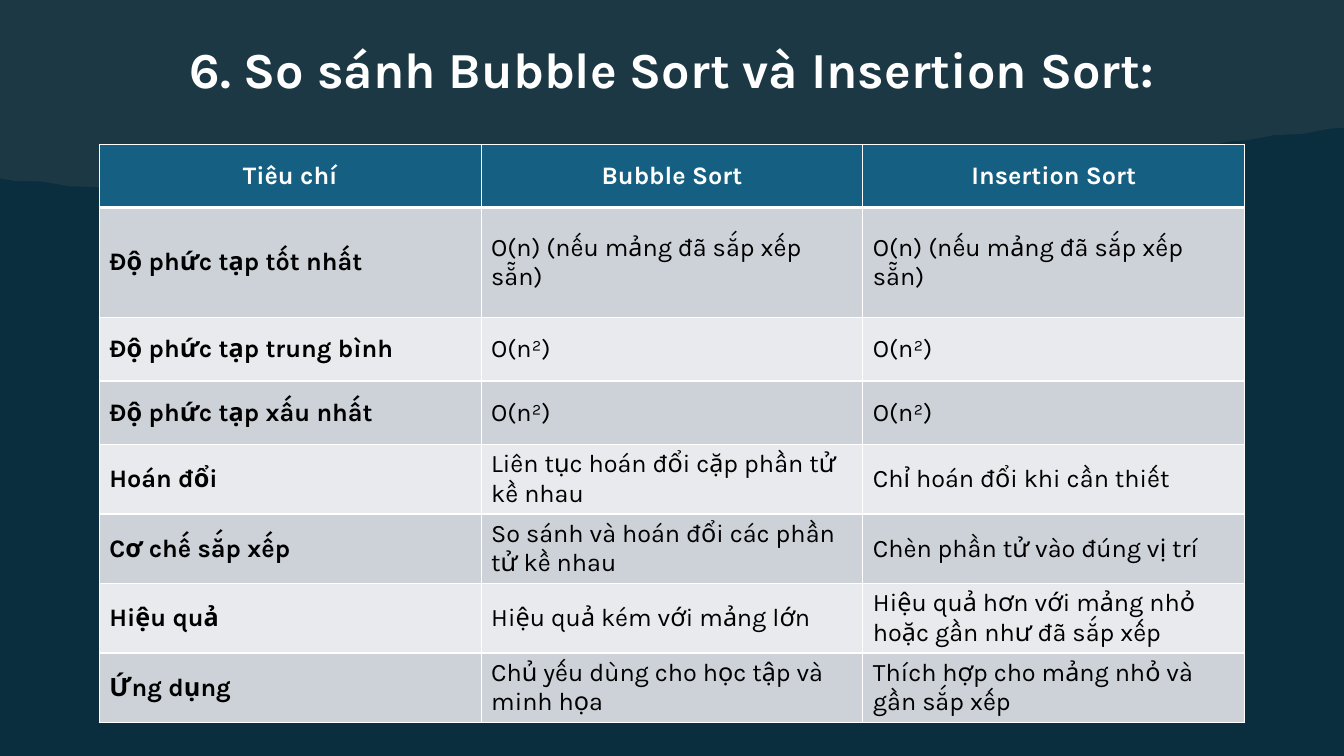
import math
from dataclasses import dataclass

from lxml import etree
from pptx import Presentation
from pptx.dml.color import RGBColor
from pptx.enum.text import MSO_ANCHOR, MSO_AUTO_SIZE, PP_ALIGN
from pptx.oxml.ns import qn
from pptx.util import Inches, Pt

MIDDLE, NO_FIT = MSO_ANCHOR.MIDDLE, MSO_AUTO_SIZE.NONE
LEFT, CENTER = PP_ALIGN.LEFT, PP_ALIGN.CENTER


@dataclass(frozen=True)
class Theme:
    font: str = "Karla"
    title_size: int = 36
    table_size: int = 18
    background: str = "0A2E3E"
    torn_band: str = "82766A"
    torn_band_alpha: int = 15
    header: str = "156082"
    bands: tuple = ("CCD2D8", "E8EAED")
    light: str = "FFFFFF"
    dark: str = "000000"
    border: float = 1
    header_border: float = 3


THEME = Theme()


def write(frame, text, *, size, color, bold=False, align=LEFT):
    frame.text = text
    paragraph = frame.paragraphs[0]
    paragraph.alignment = align
    font = paragraph.runs[0].font
    font.name, font.size, font.bold = THEME.font, Pt(size), bold
    font.color.rgb = RGBColor.from_string(color)


def set_borders(cell, top, bottom):
    """Draw all four sides; top and bottom are widths in points."""
    properties = cell._tc.get_or_add_tcPr()
    widths = {"a:lnL": THEME.border, "a:lnR": THEME.border, "a:lnT": top, "a:lnB": bottom}
    for position, (side, width) in enumerate(widths.items()):
        line = etree.Element(qn(side), w=str(Pt(width)))
        fill = etree.SubElement(line, qn("a:solidFill"))
        etree.SubElement(fill, qn("a:srgbClr"), val=THEME.light)
        properties.insert(position, line)


prs = Presentation()
prs.slide_width, prs.slide_height = Inches(13.33), Inches(7.5)
W, H = prs.slide_width, prs.slide_height
slide = prs.slides.add_slide(prs.slide_layouts[5])
slide.background.fill.solid()
slide.background.fill.fore_color.rgb = RGBColor.from_string(THEME.background)

# Torn band: depths (inches) at equal stations across the slide,
# joined by straight slopes and roughened by a small ripple.
depths = [1.77, 1.88, 2.08, 2.06, 2.12, 2.22, 2.27, 2.14, 2.08, 1.98, 1.70, 1.40, 1.27]
STEPS_PER_SLOPE = 8
RIPPLE = 0.01
last_step = (len(depths) - 1) * STEPS_PER_SLOPE
torn_edge = []
for step in range(last_step + 1):
    station, step_in_slope = divmod(step, STEPS_PER_SLOPE)
    start, end = depths[station], depths[min(station + 1, len(depths) - 1)]
    depth = start + (end - start) * step_in_slope / STEPS_PER_SLOPE
    depth += RIPPLE * math.sin(math.pi * step_in_slope / 2)
    torn_edge.append((W * step // last_step, Inches(depth)))

builder = slide.shapes.build_freeform(0, 0)
builder.add_line_segments([*torn_edge, (W, 0)], close=True)
band = builder.convert_to_shape()
band.shadow.inherit = False
band.line.fill.background()
band.fill.solid()
band.fill.fore_color.rgb = RGBColor.from_string(THEME.torn_band)
band_color = band._element.spPr.find(qn("a:solidFill")).find(qn("a:srgbClr"))
etree.SubElement(band_color, qn("a:alpha"), val=str(THEME.torn_band_alpha * 1000))

heading = slide.shapes.title
band._element.addnext(heading._element)  # the title stands in front of the band
heading.left, heading.top = int(W * 0.07), int(H * 0.03)
heading.width, heading.height = W - 2 * heading.left, int(H * 0.12)
heading.text_frame.auto_size = NO_FIT
heading.text_frame.vertical_anchor = MIDDLE
write(heading.text_frame, "6. So sánh Bubble Sort và Insertion Sort:",
      size=THEME.title_size, color=THEME.light, bold=True, align=CENTER)

comparison = [
    ("Tiêu chí", "Bubble Sort", "Insertion Sort"),
    ("Độ phức tạp tốt nhất", "O(n) (nếu mảng đã sắp xếp sẵn)", "O(n) (nếu mảng đã sắp xếp sẵn)"),
    ("Độ phức tạp trung bình", "O(n²)", "O(n²)"),
    ("Độ phức tạp xấu nhất", "O(n²)", "O(n²)"),
    ("Hoán đổi", "Liên tục hoán đổi cặp phần tử kề nhau", "Chỉ hoán đổi khi cần thiết"),
    ("Cơ chế sắp xếp", "So sánh và hoán đổi các phần tử kề nhau", "Chèn phần tử vào đúng vị trí"),
    ("Hiệu quả", "Hiệu quả kém với mảng lớn", "Hiệu quả hơn với mảng nhỏ hoặc gần như đã sắp xếp"),
    ("Ứng dụng", "Chủ yếu dùng cho học tập và minh họa", "Thích hợp cho mảng nhỏ và gần sắp xếp"),
]
ONE_LINE, TWO_LINES, BEST_CASE = Inches(0.63), Inches(0.69), Inches(1.09)
row_heights = [ONE_LINE, BEST_CASE] + [ONE_LINE] * 2 + [TWO_LINES] * 4
table_width = Inches(11.36)
grid = slide.shapes.add_table(
    len(comparison), len(comparison[0]),
    (W - table_width) // 2, Inches(1.43), table_width, sum(row_heights)).table

for r, (criterion, height) in enumerate(zip(comparison, row_heights)):
    grid.rows[r].height = height
    is_header = r == 0
    fill_color = THEME.header if is_header else THEME.bands[(r - 1) % 2]
    for c, wording in enumerate(criterion):
        cell = grid.cell(r, c)
        cell.vertical_anchor = MIDDLE
        cell.fill.solid()
        cell.fill.fore_color.rgb = RGBColor.from_string(fill_color)
        set_borders(cell,
                    top=THEME.header_border if r == 1 else THEME.border,
                    bottom=THEME.header_border if is_header else THEME.border)
        write(cell.text_frame, wording, size=THEME.table_size,
              color=THEME.light if is_header else THEME.dark,
              bold=is_header or c == 0, align=CENTER if is_header else LEFT)

prs.save("out.pptx")
